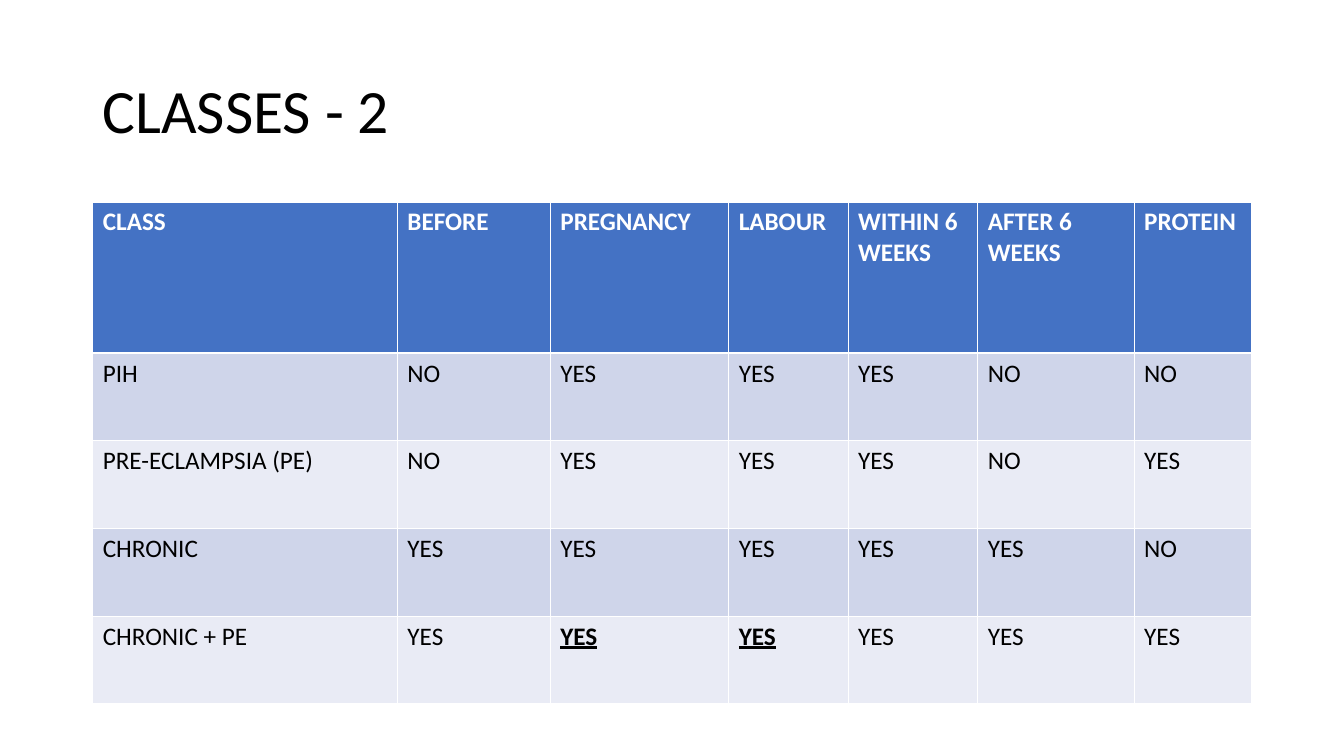
from lxml.etree import SubElement
from pptx import Presentation
from pptx.dml.color import RGBColor
from pptx.enum.text import MSO_ANCHOR as Anchor
from pptx.oxml.ns import qn
from pptx.util import Inches, Pt

SLIDE_W, SLIDE_H = Inches(13.34), Inches(7.5)
FONT = "Calibri"

BLACK = RGBColor(0x00, 0x00, 0x00)
WHITE = RGBColor(0xFF, 0xFF, 0xFF)
HEADER_BLUE = RGBColor(0x44, 0x72, 0xC4)
BAND_DARK = RGBColor(0xCF, 0xD5, 0xEA)
BAND_LIGHT = RGBColor(0xE9, 0xEB, 0xF5)

# Shares of the slide's width and height
LEFT, WIDTH = 0.069, 0.862
TITLE_TOP, TITLE_HEIGHT = 0.053, 0.193
TABLE_TOP = 0.267
ROW_SHARES = [0.2] + [0.116] * 4
# Shares of the table's width
COLUMN_SHARES = [0.263, 0.132, 0.154, 0.103, 0.112, 0.135, 0.101]

THIN, THICK = Pt(0.45), Pt(1.47)

CLASSES = [
    ["CLASS", "BEFORE", "PREGNANCY", "LABOUR", "WITHIN 6 WEEKS", "AFTER 6 WEEKS", "PROTEIN"],
    ["PIH", "NO", "YES", "YES", "YES", "NO", "NO"],
    ["PRE-ECLAMPSIA (PE)", "NO", "YES", "YES", "YES", "NO", "YES"],
    ["CHRONIC", "YES", "YES", "YES", "YES", "YES", "NO"],
    ["CHRONIC + PE", "YES", "YES", "YES", "YES", "YES", "YES"],
]
STRESSED = {(4, 2), (4, 3)}  # row and column of the underlined answers


def across(share):
    return round(SLIDE_W * share)


def down(share):
    return round(SLIDE_H * share)


def add_run(paragraph, words, size, color, bold=False, underline=False):
    run = paragraph.add_run()
    run.text = words
    run.font.name = FONT
    run.font.size = Pt(size)
    run.font.color.rgb = color
    run.font.bold = bold
    run.font.underline = underline


def add_title(slide, words):
    title = slide.shapes.add_textbox(
        across(LEFT), down(TITLE_TOP), across(WIDTH), down(TITLE_HEIGHT))
    frame = title.text_frame
    frame.word_wrap = True
    frame.vertical_anchor = Anchor.MIDDLE
    frame.paragraphs[0].line_spacing = 0.9
    add_run(frame.paragraphs[0], words, 44, BLACK)


def add_borders(cell, top, bottom):
    properties = cell._tc.get_or_add_tcPr()
    for side, width in (("L", THIN), ("R", THIN), ("T", top), ("B", bottom)):
        line = SubElement(properties, qn(f"a:ln{side}"), w=str(int(width)))
        fill = SubElement(line, qn("a:solidFill"))
        SubElement(fill, qn("a:srgbClr"), val=str(WHITE))


def fill_cell(cell, words, row, column):
    header = row == 0
    stressed = (row, column) in STRESSED
    # Borders come before the fill in the cell's properties
    add_borders(cell, THICK if row == 1 else THIN, THICK if header else THIN)
    cell.fill.solid()
    band = BAND_DARK if row % 2 else BAND_LIGHT
    cell.fill.fore_color.rgb = HEADER_BLUE if header else band
    add_run(cell.text_frame.paragraphs[0], words, 18,
            WHITE if header else BLACK, header or stressed, stressed)


def add_class_table(slide):
    frame = slide.shapes.add_table(
        len(ROW_SHARES), len(COLUMN_SHARES), across(LEFT), down(TABLE_TOP),
        across(WIDTH), down(sum(ROW_SHARES)))
    table = frame.table
    for column, share in zip(table.columns, COLUMN_SHARES):
        column.width = across(WIDTH * share)
    for row, share in zip(table.rows, ROW_SHARES):
        row.height = down(share)
    for r, answers in enumerate(CLASSES):
        for c, words in enumerate(answers):
            fill_cell(table.cell(r, c), words, r, c)


def main():
    deck = Presentation()
    deck.slide_width, deck.slide_height = SLIDE_W, SLIDE_H
    slide = deck.slides.add_slide(deck.slide_layouts[6])
    add_title(slide, "CLASSES - 2")
    add_class_table(slide)
    deck.save("out.pptx")


if __name__ == "__main__":
    main()
